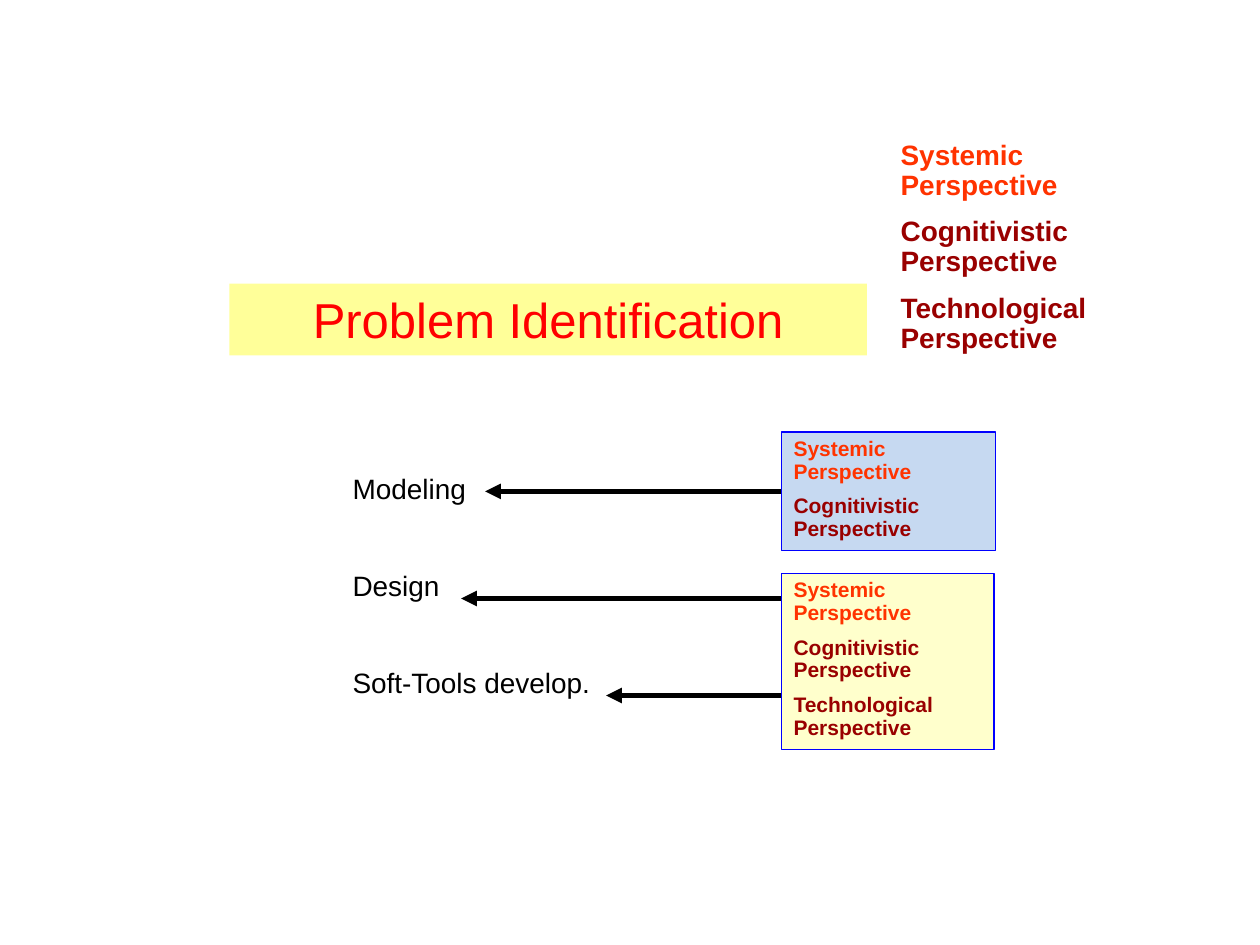
"""Build the problem identification slide with its perspectives and arrows."""
from lxml.etree import SubElement
from pptx import Presentation
from pptx.dml.color import RGBColor
from pptx.enum.shapes import MSO_CONNECTOR, MSO_SHAPE
from pptx.enum.text import MSO_ANCHOR, PP_ALIGN
from pptx.oxml.ns import qn
from pptx.util import Inches, Pt

RED = RGBColor(0xFF, 0x00, 0x00)
ORANGE = RGBColor(0xFF, 0x33, 0x00)
MAROON = RGBColor(0x99, 0x00, 0x00)
BLACK = RGBColor(0x00, 0x00, 0x00)
BLUE = RGBColor(0x00, 0x00, 0xFF)
PALE_BLUE = RGBColor(0xC6, 0xD9, 0xF1)
YELLOW = RGBColor(0xFF, 0xFF, 0x99)
CREAM = RGBColor(0xFF, 0xFF, 0xCC)

TITLE = "Problem Identification"
VIEWS = [
    ("Systemic Perspective", ORANGE),
    ("Cognitivistic Perspective", MAROON),
    ("Technological Perspective", MAROON),
]
STAGES = [(name, BLACK) for name in ("Modeling", "Design", "Soft-Tools develop.")]
EDGE = 6.2
BOXES = [
    ((EDGE, 3.43, 1.7, 0.94), PALE_BLUE, VIEWS[:2]),
    ((EDGE, 4.55, 1.69, 1.4), CREAM, VIEWS),
]
ARROWS = [(3.85, 3.9), (3.66, 4.75), (4.81, 5.52)]


def write(shape, items, size, gap, bold=False, lead=1.0):
    frame = shape.text_frame
    frame.word_wrap = True
    frame.vertical_anchor = MSO_ANCHOR.TOP
    for i, (text, color) in enumerate(items):
        para = frame.paragraphs[0] if i == 0 else frame.add_paragraph()
        para.text = text
        para.alignment = PP_ALIGN.LEFT
        para.line_spacing = lead
        para.space_before = Pt(gap if i else 0)
        font = para.font
        font.name, font.size, font.bold = "Arial", Pt(size), bold
        font.color.rgb = color


def add_text(slide, area, *style):
    write(slide.shapes.add_textbox(*map(Inches, area)), *style)


def add_title(slide):
    title = slide.shapes.title
    title.left, title.top, title.width, title.height = map(
        Inches, (1.82, 2.25, 5.06, 0.57))
    title.fill.solid()
    title.fill.fore_color.rgb = YELLOW
    write(title, [(TITLE, RED)], 28, 0)
    title.text_frame.paragraphs[0].alignment = PP_ALIGN.CENTER


def add_box(slide, area, fill, items):
    box = slide.shapes.add_shape(MSO_SHAPE.RECTANGLE, *map(Inches, area))
    box.shadow.inherit = False
    box.fill.solid()
    box.fill.fore_color.rgb = fill
    box.line.color.rgb = BLUE
    box.line.width = Pt(0.75)
    write(box, items, 12, 6.9, True, 0.9)
    return box


def add_arrow(slide, tip, y):
    arrow = slide.shapes.add_connector(
        MSO_CONNECTOR.STRAIGHT, *map(Inches, (EDGE, y, tip, y)))
    arrow.line.color.rgb = BLACK
    arrow.line.width = Pt(3)
    SubElement(arrow.line._get_or_add_ln(), qn("a:tailEnd"), type="triangle")
    SubElement(arrow._element.spPr, qn("a:effectLst"))
    return arrow


def main():
    deck = Presentation()
    deck.slide_width, deck.slide_height = Inches(10), Inches(7.5)
    slide = deck.slides.add_slide(deck.slide_layouts[5])
    add_title(slide)
    add_text(slide, (7.05, 1.07, 2.43, 1.83), VIEWS, 16, 9.2, True, 0.9)
    add_text(slide, (2.7, 3.69, 2.55, 1.99), STAGES, 16, 36.4)
    boxes = [add_box(slide, *box) for box in BOXES]
    arrows = [add_arrow(slide, *arrow) for arrow in ARROWS]
    arrows[0].begin_connect(boxes[0], 1)
    deck.save("out.pptx")


if __name__ == "__main__":
    main()
